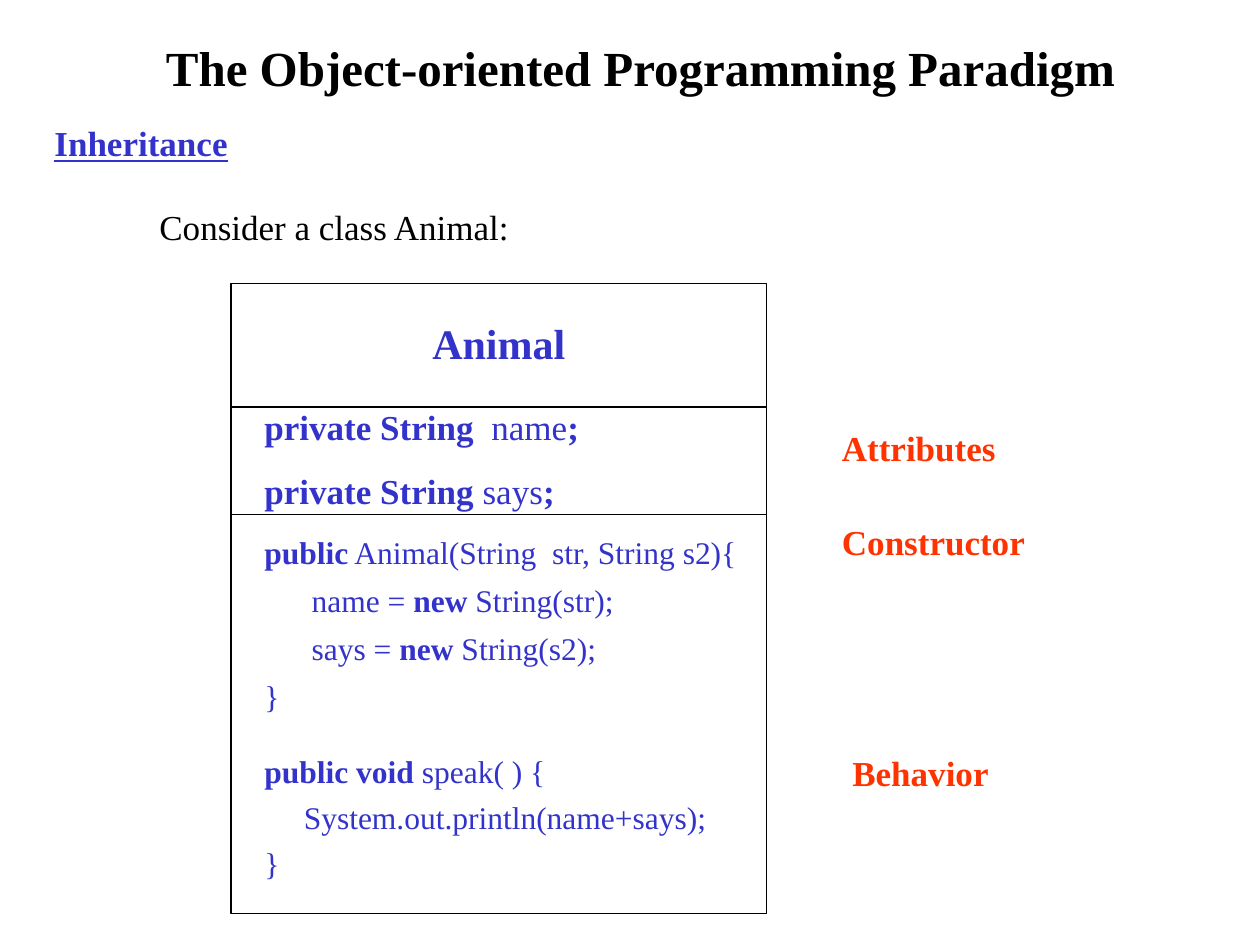
from dataclasses import dataclass

import pptx
import pptx.dml.color
import pptx.enum.shapes
import pptx.enum.text
import pptx.oxml.ns
import pptx.util
from lxml import etree

Pt = pptx.util.Pt
ALIGN = pptx.enum.text.PP_ALIGN
FONT = "Times New Roman"
BLACK, WHITE, BLUE, RED = "000000", "FFFFFF", "3333CC", "FF3300"
BOLD_MARK = "|"


@dataclass
class Line:
    marked_text: str
    indent: float = 0


@dataclass
class TextBlock:
    left: float
    top: float
    width: float
    height: float
    lines: list[Line]
    size: float = 20
    color: str = BLUE
    alignment: ALIGN = ALIGN.LEFT
    line_spacing: float = 1.0
    underline: bool = False


TITLE = TextBlock(66, 18, 600, 41, [Line("The Object-oriented Programming Paradigm")],
                  size=28, color=BLACK, alignment=ALIGN.CENTER)
HEADINGS = [
    TextBlock(24, 66, 264, 32, [Line("Inheritance")], underline=True),
    TextBlock(84, 114, 558, 32, [Line("|Consider a class Animal:")], color=BLACK),
]
CLASS_MEMBERS = [
    TextBlock(207, 178, 156, 36, [Line("Animal")], size=24, alignment=ALIGN.CENTER),
    TextBlock(144, 228, 245, 68, [
        Line("private String  |name|;"),
        Line("private String |says|;"),
    ]),
    TextBlock(144, 306, 288, 106, [
        Line("public| Animal(String  str, String s2){"),
        Line("|name = |new| String(str);", 27),
        Line("|says = |new| String(s2);", 27),
        Line("|}"),
    ], size=18, line_spacing=0.75),
    TextBlock(144, 432, 276, 75, [
        Line("public void |speak( ) {"),
        Line("|System.out.println(name+says);", 22.5),
        Line("|}"),
    ], size=18, line_spacing=0.7),
]
LABELS = [
    TextBlock(474, 240, 222, 32, [Line("Attributes")], color=RED),
    TextBlock(474, 294, 204, 32, [Line("Constructor")], color=RED),
    TextBlock(480, 426, 174, 32, [Line("Behavior")], color=RED),
]
BOX_LEFT, BOX_TOP, BOX_WIDTH, BOX_HEIGHT = 132, 162, 306, 360
DIVIDERS = [232.5, 294]


def rgb(color: str) -> pptx.dml.color.RGBColor:
    return pptx.dml.color.RGBColor.from_string(color)


def fill_text(shape, block: TextBlock) -> None:
    shape.left, shape.top = Pt(block.left), Pt(block.top)
    shape.width, shape.height = Pt(block.width), Pt(block.height)
    frame = shape.text_frame
    frame.word_wrap = True
    frame.auto_size = pptx.enum.text.MSO_AUTO_SIZE.SHAPE_TO_FIT_TEXT
    frame.vertical_anchor = pptx.enum.text.MSO_ANCHOR.TOP
    for index, line in enumerate(block.lines):
        paragraph = frame.add_paragraph() if index else frame.paragraphs[0]
        paragraph.alignment = block.alignment
        paragraph.line_spacing = block.line_spacing
        paragraph.space_before = Pt(block.size * 0.625)
        if line.indent:
            paragraph._p.get_or_add_pPr().set("marL", str(Pt(line.indent)))
        for position, text in enumerate(line.marked_text.split(BOLD_MARK)):
            if not text:
                continue
            run = paragraph.add_run()
            run.text = text
            run.font.name = FONT
            run.font.size = Pt(block.size)
            run.font.bold = position % 2 == 0
            run.font.color.rgb = rgb(block.color)
            if block.underline:
                run.font.underline = True


def add_text(slide, block: TextBlock) -> None:
    shape = slide.shapes.add_textbox(
        Pt(block.left), Pt(block.top), Pt(block.width), Pt(block.height))
    fill_text(shape, block)


def style_line(shape) -> None:
    shape.line.color.rgb = rgb(BLACK)
    shape.line.width = Pt(0.75)


def add_class_box(slide) -> None:
    box = slide.shapes.add_shape(
        pptx.enum.shapes.MSO_SHAPE.RECTANGLE,
        Pt(BOX_LEFT), Pt(BOX_TOP), Pt(BOX_WIDTH), Pt(BOX_HEIGHT))
    box.shadow.inherit = False
    box.fill.solid()
    box.fill.fore_color.rgb = rgb(WHITE)
    style_line(box)


def add_divider(slide, top: float) -> None:
    divider = slide.shapes.add_connector(
        pptx.enum.shapes.MSO_CONNECTOR.STRAIGHT,
        Pt(BOX_LEFT), Pt(top), Pt(BOX_LEFT + BOX_WIDTH), Pt(top))
    style_line(divider)
    etree.SubElement(divider._element.spPr, pptx.oxml.ns.qn("a:effectLst"))


def main() -> None:
    presentation = pptx.Presentation()
    presentation.slide_width, presentation.slide_height = Pt(720), Pt(540)
    slide = presentation.slides.add_slide(presentation.slide_layouts.get_by_name("Title Only"))
    slide.background.fill.solid()
    slide.background.fill.fore_color.rgb = rgb(WHITE)
    fill_text(slide.shapes.title, TITLE)
    for block in HEADINGS:
        add_text(slide, block)
    add_class_box(slide)
    for top in DIVIDERS:
        add_divider(slide, top)
    for block in CLASS_MEMBERS + LABELS:
        add_text(slide, block)
    presentation.save("out.pptx")


if __name__ == "__main__":
    main()
